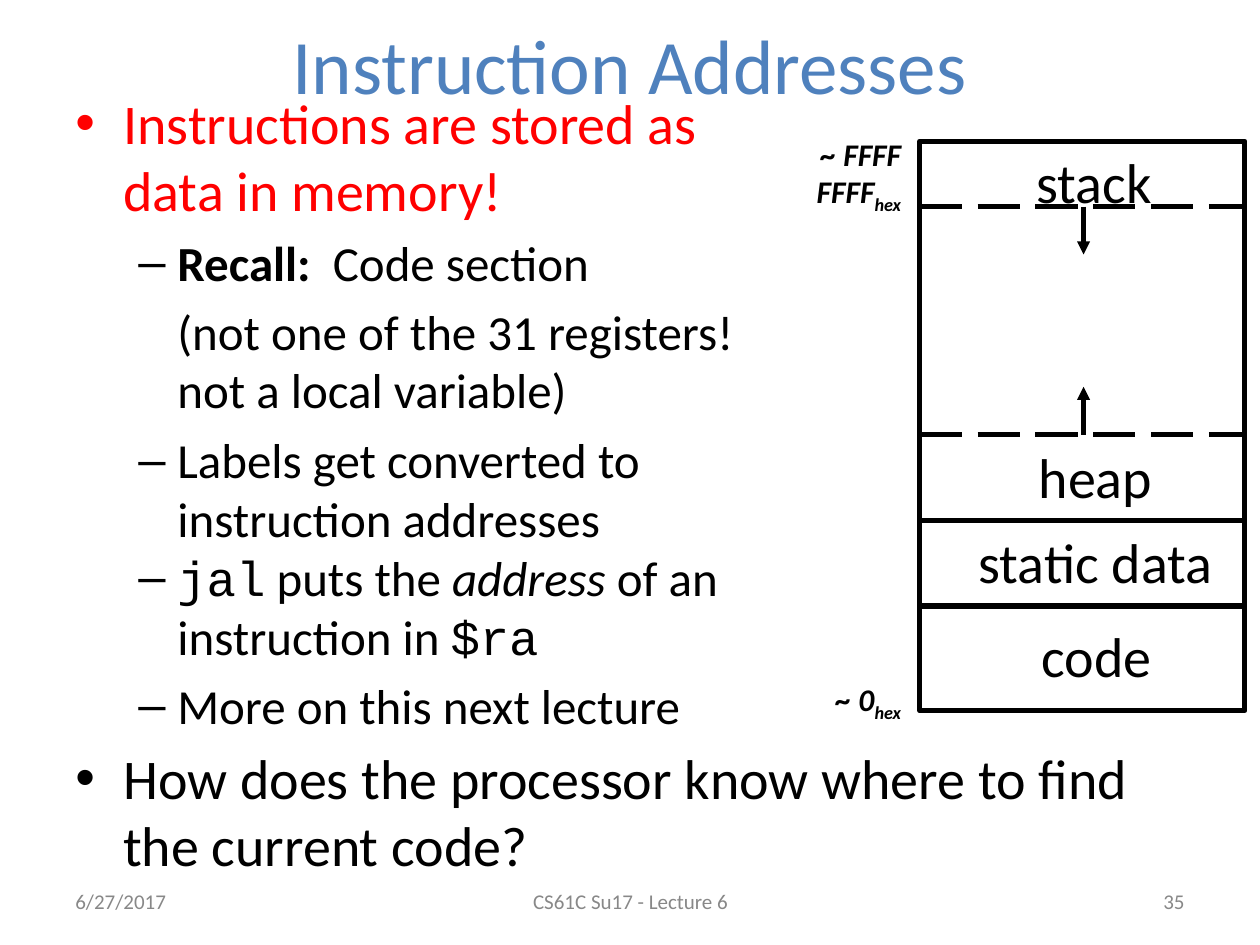
from dataclasses import dataclass

from pptx import Presentation
from pptx.dml.color import RGBColor
from pptx.enum.dml import MSO_LINE_DASH_STYLE as Dash
from pptx.enum.shapes import MSO_CONNECTOR as Connector, MSO_SHAPE as Shape
from pptx.enum.text import MSO_ANCHOR as Anchor, PP_ALIGN as Align
from pptx.oxml.ns import qn
from pptx.oxml.xmlchemy import OxmlElement
from pptx.util import Inches, Pt


@dataclass(frozen=True)
class Theme:
    """Colours, fonts and type sizes of the slide."""
    title: str = "4F81BD"
    ink: str = "000000"
    accent: str = "FF0000"
    muted: str = "888888"
    paper: str = "FFFFFF"
    font: str = "Calibri"
    code_font: str = "Courier New"
    title_size: int = 44
    main_size: int = 32
    sub_size: int = 28
    address_size: int = 18
    footer_size: int = 12


THEME = Theme()
MEMORY_LEFT, MEMORY_WIDTH = 7.3, 2.58
MEMORY_TOP, MEMORY_HEIGHT = 1.12, 4.52
STACK_END, HEAP_TOP, STATIC_TOP, CODE_TOP = 1.64, 3.45, 4.13, 4.81
ARROW_X, ARROW_LENGTH = 8.6, 0.38

POINTS = [
    (0, 0, "•", [("Instructions are stored as\ndata in memory!", "accent")]),
    (1, 5.6, "–", [("Recall:", "bold"), ("  Code section", "")]),
    (1, 5.6, "", [("(not one of the 31 registers!\nnot a local variable)", "")]),
    (1, 6.4, "–", [("Labels get converted to\ninstruction addresses", "")]),
    (1, 0, "–", [("jal", "code"), (" puts the ", ""), ("address", "italic"),
                 (" of an\ninstruction in ", ""), ("$ra", "code")]),
    (1, 5.6, "–", [("More on this next lecture", "")]),
    (0, 5.6, "•", [("How does the processor know where to find the current code?", "")]),
]


def rgb(value):
    """Turn a hex string into a colour."""
    return RGBColor.from_string(value)


def style_font(font, size, color=THEME.ink, name=THEME.font):
    """Set the face, size and colour of a font."""
    font.name, font.size = name, Pt(size)
    font.color.rgb = rgb(color)


def add_text(page, text, frame, size, color=THEME.ink, align=Align.CENTER, anchor=Anchor.TOP):
    """Add a one-paragraph text box and return its paragraph."""
    box = page.shapes.add_textbox(*map(Inches, frame))
    box.text_frame.word_wrap = True
    box.text_frame.vertical_anchor = anchor
    box.text_frame.text = text
    para = box.text_frame.paragraphs[0]
    para.alignment = align
    style_font(para.runs[0].font, size, color)
    return para


def add_address(page, text, frame):
    """Add a bold italic address with a hex subscript."""
    para = add_text(page, text, frame, THEME.address_size, align=Align.RIGHT)
    subscript = para.add_run()
    subscript.text = "hex"
    style_font(subscript.font, THEME.address_size)
    subscript.font._element.set("baseline", "-25000")
    for span in para.runs:
        span.font.bold = span.font.italic = True


def set_bullet(para, level, mark, color):
    """Give a paragraph its indent and bullet mark."""
    margin, hang = [(0.38, 0.38), (0.81, 0.31)][level]
    props = para._p.get_or_add_pPr()
    props.set("marL", str(Inches(margin)))
    props.set("indent", str(-Inches(hang) if mark else 0))
    if not mark:
        props.append(OxmlElement("a:buNone"))
        return
    tint = OxmlElement("a:buClr")
    tint.append(OxmlElement("a:srgbClr"))
    tint[0].set("val", color)
    face, char = OxmlElement("a:buFont"), OxmlElement("a:buChar")
    face.set("typeface", "Arial")
    char.set("char", mark)
    props.extend([tint, face, char])


def add_span(para, text, kind, size):
    """Add text of one kind, with a line break at each newline."""
    for number, line in enumerate(text.split("\n")):
        if number:
            para.add_line_break()
        span = para.add_run()
        span.text = line
        style_font(span.font, size, THEME.accent if kind == "accent" else THEME.ink,
                   THEME.code_font if kind == "code" else THEME.font)
        span.font.bold = kind == "bold"
        span.font.italic = kind == "italic"


def add_points(page):
    """Add the bulleted list."""
    box = page.shapes.add_textbox(*map(Inches, (0.5, 0.65, 9, 5.88)))
    box.text_frame.word_wrap = True
    for number, (level, gap, mark, spans) in enumerate(POINTS):
        para = box.text_frame.add_paragraph() if number else box.text_frame.paragraphs[0]
        para.level = level
        para.space_before = Pt(gap)
        set_bullet(para, level, mark, THEME.accent if spans[0][1] == "accent" else THEME.ink)
        for text, kind in spans:
            add_span(para, text, kind, THEME.sub_size if level else THEME.main_size)


def add_block(page, top, height, weight=3, line=THEME.ink, fill=None):
    """Add one rectangle of the memory column."""
    block = page.shapes.add_shape(
        Shape.RECTANGLE, *map(Inches, (MEMORY_LEFT, top, MEMORY_WIDTH, height)))
    block.shadow.inherit = False
    if fill:
        block.fill.solid()
        block.fill.fore_color.rgb = rgb(fill)
    else:
        block.fill.background()
    block.line.color.rgb = rgb(line)
    block.line.width = Pt(weight)


def add_line(page, start, end, weight):
    """Add a straight black line without shadow."""
    line = page.shapes.add_connector(Connector.STRAIGHT, *map(Inches, (*start, *end)))
    line.line.color.rgb = rgb(THEME.ink)
    line.line.width = Pt(weight)
    line._element.find(qn("p:spPr")).append(OxmlElement("a:effectLst"))
    return line


def add_boundary(page, y, direction):
    """Add a dashed boundary and the arrow showing where it grows."""
    edge = add_line(page, (MEMORY_LEFT, y), (MEMORY_LEFT + MEMORY_WIDTH, y), 3)
    edge.line.dash_style = Dash.LONG_DASH
    arrow = add_line(page, (ARROW_X, y), (ARROW_X, y + direction * ARROW_LENGTH), 2.5)
    head = OxmlElement("a:tailEnd")
    head.set("type", "triangle")
    arrow.line._get_or_add_ln().append(head)


def add_memory(page):
    """Draw the memory layout with its labels and addresses."""
    bottom = MEMORY_TOP + MEMORY_HEIGHT
    add_block(page, STACK_END, HEAP_TOP - STACK_END, 1, THEME.paper, THEME.paper)
    add_block(page, MEMORY_TOP, MEMORY_HEIGHT)
    add_block(page, CODE_TOP, bottom - CODE_TOP, 1)
    add_block(page, STATIC_TOP, CODE_TOP - STATIC_TOP)
    add_boundary(page, HEAP_TOP, -1)
    add_boundary(page, STACK_END, 1)
    for text, left, top, width in [("code", 8.09, 4.88, 1.23), ("static data", 7.61, 4.14, 2.17),
                                   ("heap", 8.08, 3.46, 1.23), ("stack", 8.07, 1.12, 1.23)]:
        add_text(page, text, (left, top, width, 0.58), THEME.main_size)
    add_address(page, "~ FFFF FFFF", (5.7, 1.02, 1.55, 0.36))
    add_address(page, "~ 0", (6.48, 5.35, 0.77, 0.36))


def add_title(page, text):
    """Place and format the title."""
    title = page.shapes.title
    title.left, title.top, title.width, title.height = map(Inches, (0.5, -0.12, 9, 1.25))
    title.text_frame.text = text
    title.text_frame.vertical_anchor = Anchor.MIDDLE
    para = title.text_frame.paragraphs[0]
    para.alignment = Align.CENTER
    style_font(para.runs[0].font, THEME.title_size, THEME.title)


def add_footer(page):
    """Add the date, lecture name and page number."""
    for text, left, width, align in [("6/27/2017", 0.5, 2.33, Align.LEFT),
                                     ("35", 7.17, 2.33, Align.RIGHT),
                                     ("CS61C Su17 - Lecture 6", 3.42, 3.17, Align.CENTER)]:
        add_text(page, text, (left, 6.95, width, 0.4), THEME.footer_size, THEME.muted,
                 align, Anchor.MIDDLE)


def main():
    """Build and save the slide."""
    deck = Presentation()
    deck.slide_width, deck.slide_height = Inches(10), Inches(7.5)
    page = deck.slides.add_slide(deck.slide_layouts[5])
    add_title(page, "Instruction Addresses")
    add_points(page)
    add_footer(page)
    add_memory(page)
    deck.save("out.pptx")


if __name__ == "__main__":
    main()
